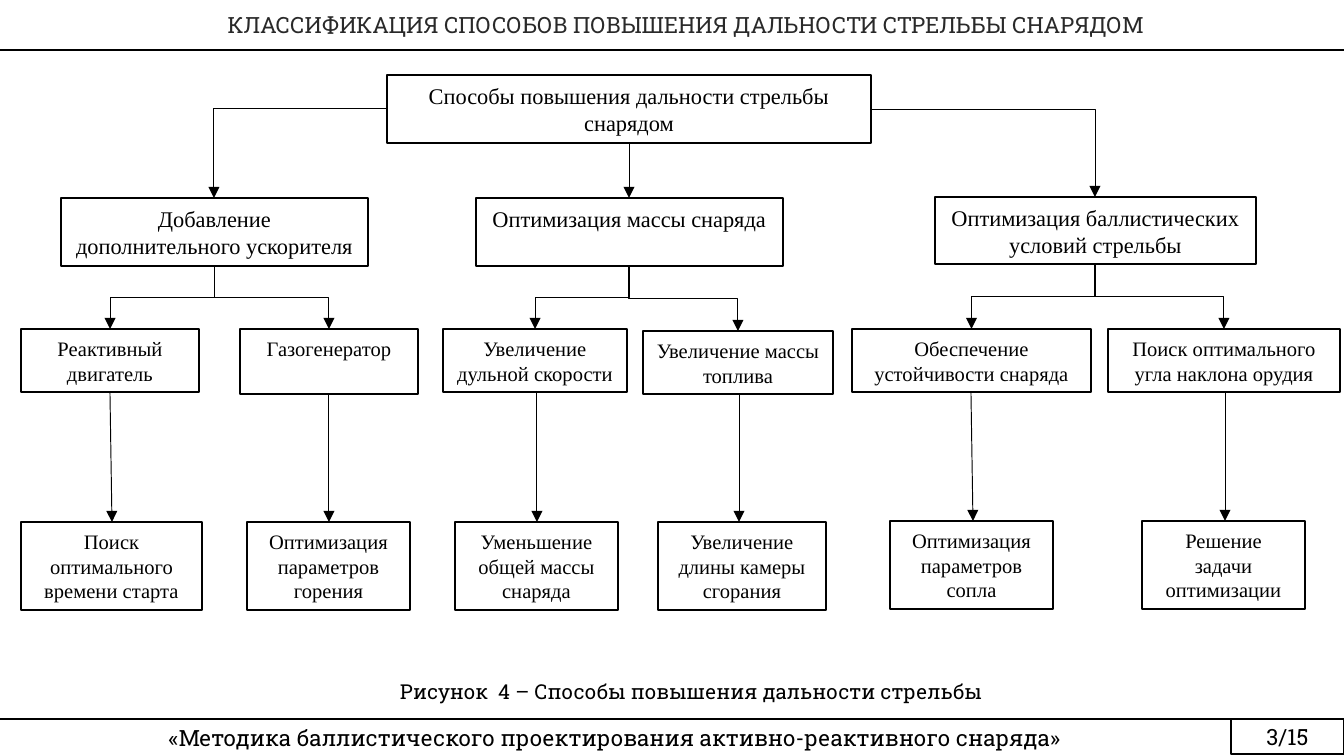
from lxml import etree
from pptx import Presentation
from pptx.dml.color import RGBColor
from pptx.enum.shapes import MSO_CONNECTOR, MSO_SHAPE
from pptx.enum.text import MSO_ANCHOR, MSO_AUTO_SIZE, PP_ALIGN
from pptx.oxml.ns import qn
from pptx.util import Pt

PX = 914400 / 134.4
COLORS = {"ink": "000000", "paper": "FFFFFF", "title": "292929"}
SERIF, SLAB = "Times New Roman", "Roboto Slab"
STRAIGHT, ELBOW = MSO_CONNECTOR.STRAIGHT, MSO_CONNECTOR.ELBOW
RECTANGLE = MSO_SHAPE.RECTANGLE
LEFT, CENTER = PP_ALIGN.LEFT, PP_ALIGN.CENTER
TOP, MIDDLE = MSO_ANCHOR.TOP, MSO_ANCHOR.MIDDLE
NO_AUTOFIT = MSO_AUTO_SIZE.NONE

prs = Presentation()
prs.slide_width, prs.slide_height = round(1344 * PX), round(756 * PX)
slide = prs.slides.add_slide(prs.slide_layouts[5])
shapes = slide.shapes


def write(text, at, holder=None, size=11, font=SERIF, color="ink", align=CENTER,
          anchor=TOP, insets=(13, 7, 13, 7), border=1, space_after=0):
    """Put text in the holder, or in a new bordered rectangle."""
    left, top, width, height = [round(v * PX) for v in at]
    if holder is None:
        holder = shapes.add_shape(RECTANGLE, left, top, width, height)
        holder.shadow.inherit = False
        holder.fill.solid()
        holder.fill.fore_color.rgb = RGBColor.from_string(COLORS["paper"])
        holder.line.color.rgb = RGBColor.from_string(COLORS["ink"])
        holder.line.width = Pt(border)
    holder.left, holder.top, holder.width, holder.height = left, top, width, height
    frame = holder.text_frame
    frame.word_wrap, frame.auto_size = True, NO_AUTOFIT
    frame.vertical_anchor = anchor
    (frame.margin_left, frame.margin_top,
     frame.margin_right, frame.margin_bottom) = [round(v * PX) for v in insets]
    frame.text = text
    for paragraph in frame.paragraphs:
        paragraph.alignment = align
        paragraph.space_after = Pt(space_after)
        paragraph.font.size, paragraph.font.name = Pt(size), font
        paragraph.font.bold = False
        paragraph.font.color.rgb = RGBColor.from_string(COLORS[color])


def connect(x1, y1, x2, y2, kind=STRAIGHT, width=0.5, arrow=True):
    """Draw a black line without shadow, by default with an arrowhead."""
    line = shapes.add_connector(kind, *[round(v * PX) for v in (x1, y1, x2, y2)])
    line.line.color.rgb = RGBColor.from_string(COLORS["ink"])
    line.line.width = Pt(width)
    if arrow:
        etree.SubElement(line.line._get_or_add_ln(), qn("a:tailEnd"), type="triangle")
    properties = line._element.spPr
    etree.SubElement(properties, qn("a:effectLst"))
    return properties


# Header
write("КЛАССИФИКАЦИЯ СПОСОБОВ ПОВЫШЕНИЯ ДАЛЬНОСТИ СТРЕЛЬБЫ СНАРЯДОМ",
      (0, 0, 1344, 50), holder=shapes.title, size=12, font=SLAB, color="title",
      anchor=MIDDLE, insets=(29, 1, 1, 1))
connect(0, 50, 1344, 50, width=0.75, arrow=False)

# Root of the classification
root_left, root_top, root_width, root_height = root = (387, 75, 484, 68)
write("Способы повышения дальности стрельбы снарядом", root, size=12)
root_middle = root_top + root_height / 2

# Each group: text, box, start of its arrow on the root, and its methods;
# each method: text, box, x of its arrow at both ends, resulting task, task box
groups = [
    ("Добавление дополнительного ускорителя", (61, 198, 307, 68),
     (root_left, root_middle), [
         ("Реактивный двигатель", (21, 329, 178, 63), (110, 112),
          "Поиск оптимального времени старта", (21, 522, 181, 88)),
         ("Газогенератор", (240, 329, 178, 65), (329, 329),
          "Оптимизация параметров горения", (247, 522, 163, 88))]),
    ("Оптимизация массы снаряда", (476, 198, 307, 68),
     (629, root_top + root_height), [
         ("Увеличение дульной скорости", (443, 329, 184, 63), (537, 537),
          "Уменьшение общей массы снаряда", (455, 522, 163, 88)),
         ("Увеличение массы топлива", (643, 331, 190, 63), (739, 739),
          "Увеличение длины камеры сгорания", (658, 522, 168, 88))]),
    ("Оптимизация баллистических\nусловий стрельбы", (935, 197, 321, 67),
     (root_left + root_width, root_middle), [
         ("Обеспечение устойчивости снаряда", (852, 329, 239, 63), (971, 973),
          "Оптимизация параметров сопла", (890, 521, 163, 88)),
         ("Поиск оптимального угла наклона орудия", (1108, 329, 232, 63), (1225, 1225),
          "Решение задачи оптимизации", (1142, 521, 163, 88))]),
]

for group, group_box, (start_x, start_y), methods in groups:
    left, top, width, height = group_box
    write(group, group_box, size=12)
    group_x, group_bottom = left + width // 2, top + height

    # Arrow from the root: straight down, or sideways and then down
    if start_x == group_x:
        connect(start_x, start_y, group_x, top)
    else:
        bend = connect(start_x, start_y, group_x, top, kind=ELBOW)
        bend.find(qn("a:prstGeom")).set("prst", "bentConnector2")

    for method, method_box, (drop_start, drop_end), task, task_box in methods:
        left, top, width, height = method_box
        write(method, method_box)
        write(task, task_box)
        connect(drop_start, top + height, drop_end, task_box[1])

        # A quarter turn about the centre makes the elbow run down, across, down
        run, fall = left + width / 2 - group_x, top - group_bottom
        center_x, center_y = group_x + run / 2, group_bottom + fall / 2
        branch = connect(center_x - fall / 2, center_y + run / 2,
                         center_x + fall / 2, center_y - run / 2, kind=ELBOW)
        branch.find(qn("a:xfrm")).set("rot", "5400000")

# Caption
write("Рисунок  4 – Способы повышения дальности стрельбы", (387, 672, 683, 39),
      holder=shapes.add_textbox(0, 0, 0, 0), font=SLAB, align=LEFT)

# Footer
connect(0, 719, 1234, 719, width=0.75, arrow=False)
write("«Методика баллистического проектирования активно-реактивного снаряда»",
      (0, 719, 1230, 37), holder=shapes.add_textbox(0, 0, 0, 0), size=12, font=SLAB,
      anchor=MIDDLE, insets=(9, 5, 9, 5), space_after=4.5)
write("3/15", (1231, 719, 113, 35), size=12, font=SLAB, anchor=MIDDLE,
      insets=(9, 5, 9, 5), border=0.75)

prs.save("out.pptx")
